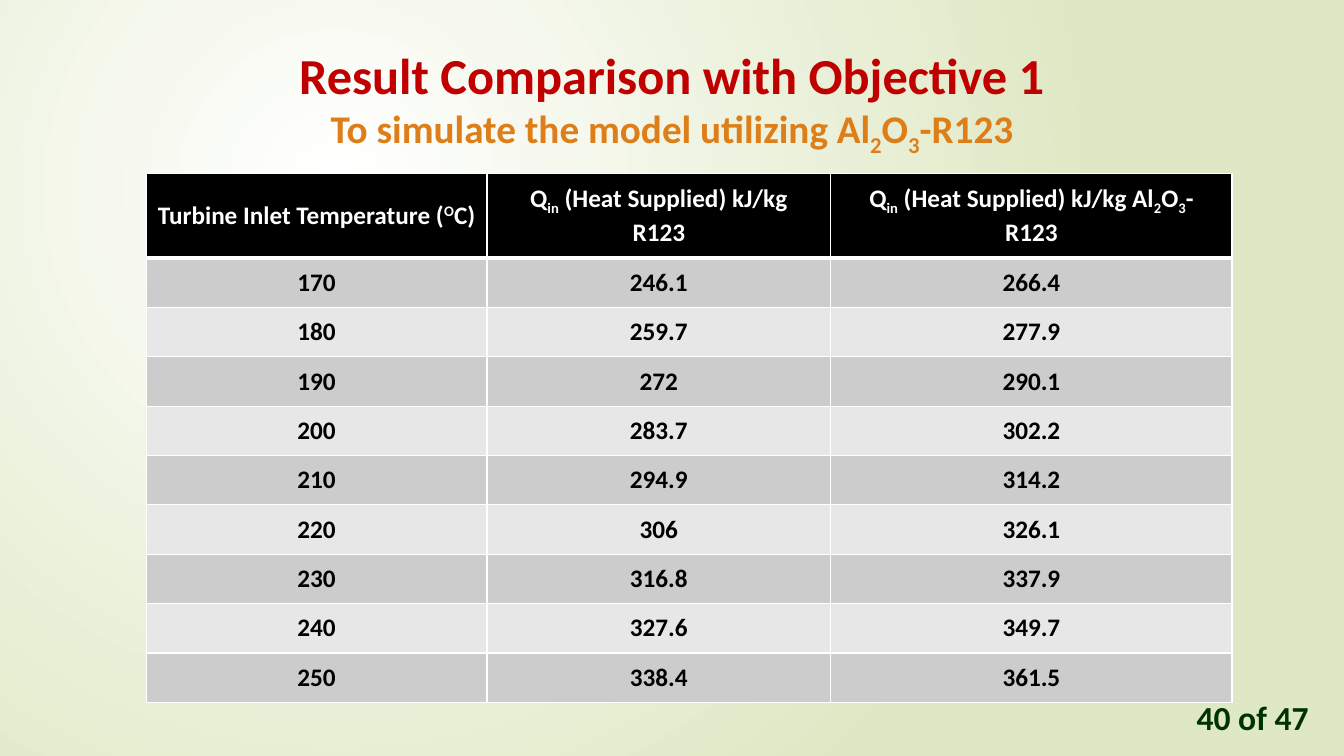
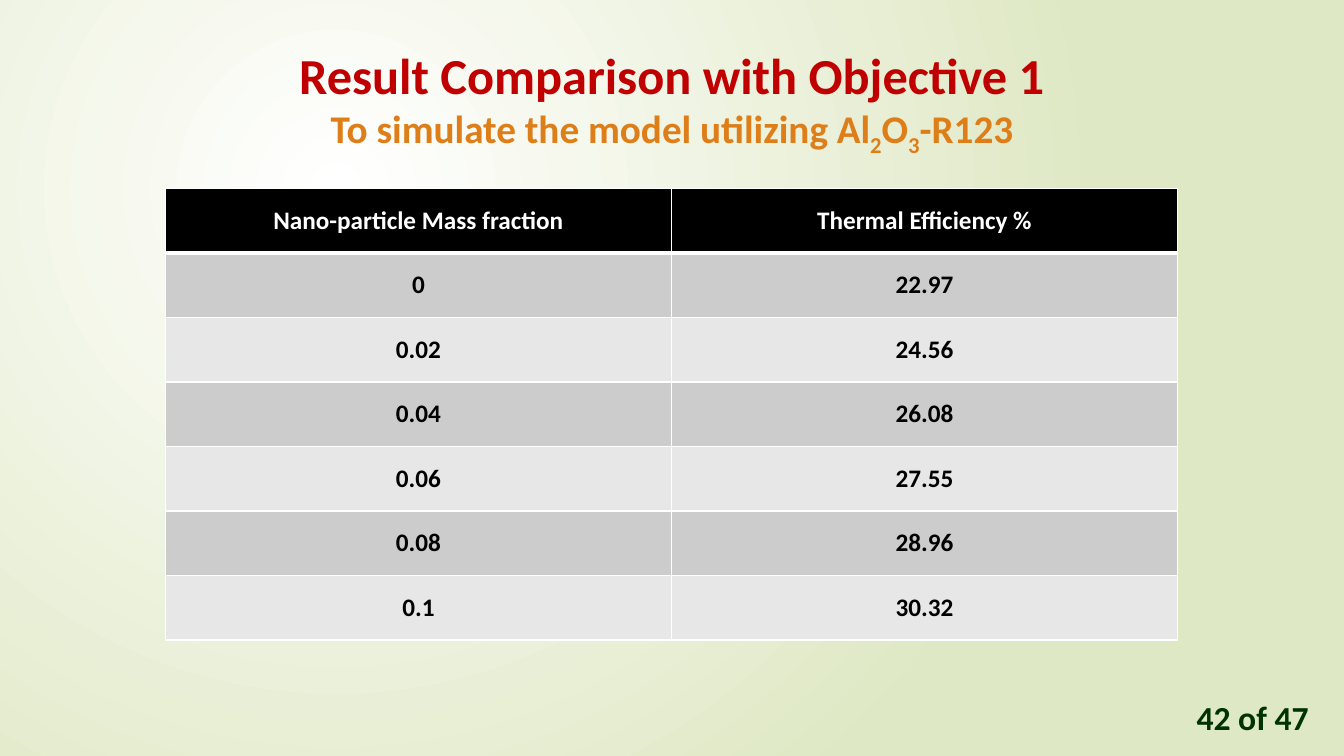
import pptx
import pptx.util
import pptx.dml.color
import pptx.enum.text
import pptx.oxml.ns
from lxml import etree

Inches, Pt = pptx.util.Inches, pptx.util.Pt
ALIGN = pptx.enum.text.PP_ALIGN
ANCHOR = pptx.enum.text.MSO_ANCHOR
qn = pptx.oxml.ns.qn

FONT = "Calibri"
COLORS = {
    "white": "FFFFFF", "black": "000000", "sage": "DFE8C4",
    "title": "C00000", "sub": "DE7E18", "page": "003300",
    "odd": "CCCCCC", "even": "E7E7E7",
}
SUB, SUP = -25, 30
TOTAL = 47

# A text is a list of parts: a string, or a (string, baseline shift) pair.
OXIDE = ["Al", ("2", SUB), "O", ("3", SUB), "-"]
HEAT = ["Q", ("in", SUB), " (Heat Supplied) kJ/kg"]
TITLE = ["Result Comparison with Objective 1"]
AIM = ["To simulate the model utilizing ", *OXIDE, "R123"]

SLIDES = [
    {
        "page": 40, "at": (1.45, 1.72), "cols": [3.38, 3.41, 3.98],
        "head_h": 0.84, "row_h": 0.49,
        "head": [
            ["Turbine Inlet Temperature (", ("O", SUP), "C)"],
            [*HEAT, "\n", "R123"],
            [*HEAT, " ", *OXIDE, "\n", "R123"],
        ],
        "rows": [
            ("170", "246.1", "266.4"), ("180", "259.7", "277.9"),
            ("190", "272", "290.1"), ("200", "283.7", "302.2"),
            ("210", "294.9", "314.2"), ("220", "306", "326.1"),
            ("230", "316.8", "337.9"), ("240", "327.6", "349.7"),
            ("250", "338.4", "361.5"),
        ],
    },
    {
        "page": 42, "at": (1.64, 1.87), "cols": [5.02, 5.02],
        "head_h": 0.64, "row_h": 0.64,
        "head": [["Nano-particle Mass fraction"], ["Thermal Efficiency %"]],
        "rows": [
            ("0", "22.97"), ("0.02", "24.56"), ("0.04", "26.08"),
            ("0.06", "27.55"), ("0.08", "28.96"), ("0.1", "30.32"),
        ],
    },
]


def rgb(name):
    return pptx.dml.color.RGBColor.from_string(COLORS[name])


def write(para, parts, size, color, align=ALIGN.CENTER):
    para.alignment = align
    for part in parts:
        if part == "\n":
            para.add_line_break()
            continue
        text, shift = (part, 0) if isinstance(part, str) else part
        run = para.add_run()
        run.text = text
        font = run.font
        font.name, font.size, font.bold = FONT, Pt(size), True
        font.color.rgb = rgb(color)
        if shift:
            run._r.get_or_add_rPr().set("baseline", str(shift * 1000))


def paint(master):
    """Give the master a radial gradient with its centre at upper left."""
    fill = master.background.fill
    fill.gradient()
    for stop, name, pos in zip(fill.gradient_stops, ("white", "sage"), (0, 1)):
        stop.color.rgb = rgb(name)
        stop.position = pos
    grad = master.element.find(".//" + qn("p:bgPr")).find(qn("a:gradFill"))
    lin = grad.find(qn("a:lin"))
    ring = etree.Element(qn("a:path"), {"path": "circle"})
    etree.SubElement(ring, qn("a:fillToRect"),
                     {"l": "50000", "t": "50000", "r": "100000", "b": "100000"})
    grad.replace(lin, ring)


def edge(cell, top, base):
    """Draw white cell borders; top and base are widths in points."""
    props = cell._tc.get_or_add_tcPr()
    sides = {"lnL": 1, "lnR": 1, "lnT": top, "lnB": base}
    for i, (tag, width) in enumerate(sides.items()):
        line = etree.Element(qn("a:" + tag), {"w": str(int(Pt(width)))})
        solid = etree.SubElement(line, qn("a:solidFill"))
        etree.SubElement(solid, qn("a:srgbClr"), {"val": COLORS["white"]})
        props.insert(i, line)


def add_title(slide):
    title = slide.shapes.title
    title.left, title.top = Inches(0), Inches(0.36)
    title.width, title.height = Inches(13.33), Inches(1.31)
    frame = title.text_frame
    frame.vertical_anchor = ANCHOR.MIDDLE
    first, second = frame.paragraphs[0], frame.add_paragraph()
    write(first, TITLE, 36, "title")
    write(second, AIM, 28, "sub")
    for para in (first, second):
        para.line_spacing = 0.9
        para.space_before = Pt(0)


def add_grid(slide, data):
    left, top = data["at"]
    cols = data["cols"]
    lines = [data["head"]] + [[[val] for val in row] for row in data["rows"]]
    highs = [data["head_h"]] + [data["row_h"]] * len(data["rows"])
    table = slide.shapes.add_table(
        len(lines), len(cols), Inches(left), Inches(top),
        Inches(sum(cols)), Inches(sum(highs))).table
    table.horz_banding = False
    for col, width in zip(table.columns, cols):
        col.width = Inches(width)
    for r, (line, high) in enumerate(zip(lines, highs)):
        table.rows[r].height = Inches(high)
        back = "black" if r == 0 else "odd" if r % 2 else "even"
        ink = "white" if r == 0 else "black"
        for c, parts in enumerate(line):
            cell = table.cell(r, c)
            cell.vertical_anchor = ANCHOR.MIDDLE
            cell.fill.solid()
            cell.fill.fore_color.rgb = rgb(back)
            edge(cell, 3 if r == 1 else 1, 3 if r == 0 else 1)
            write(cell.text_frame.paragraphs[0], parts, 18, ink)


def add_page(slide, num):
    box = slide.shapes.add_textbox(
        Inches(11.77), Inches(6.86), Inches(1.4), Inches(0.5))
    box.text_frame.word_wrap = False
    write(box.text_frame.paragraphs[0], [f"{num} of {TOTAL}"], 24, "page",
          ALIGN.LEFT)


def main():
    deck = pptx.Presentation()
    deck.slide_width, deck.slide_height = Inches(13.33), Inches(7.5)
    paint(deck.slide_master)
    for data in SLIDES:
        slide = deck.slides.add_slide(deck.slide_layouts[5])
        add_title(slide)
        add_grid(slide, data)
        add_page(slide, data["page"])
    deck.save("out.pptx")


if __name__ == "__main__":
    main()
